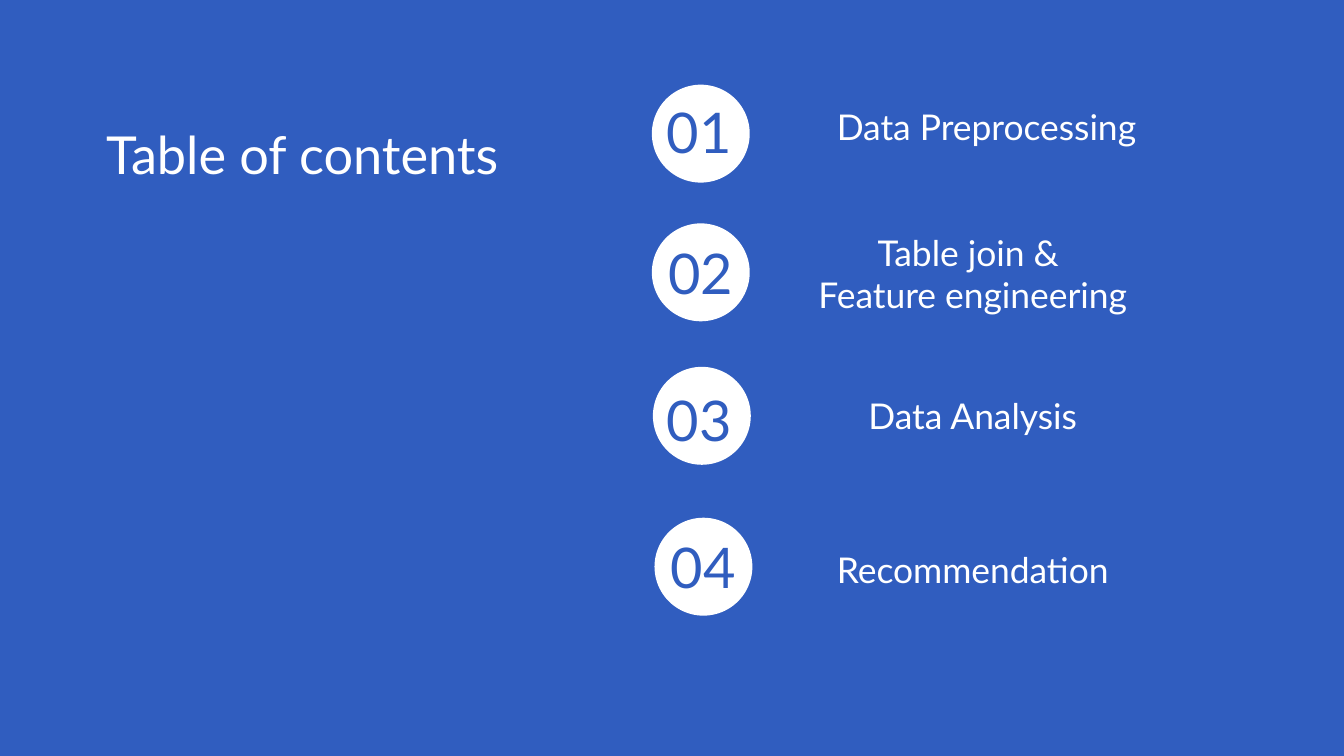
from lxml.etree import SubElement
from pptx import Presentation
from pptx.dml.color import RGBColor
from pptx.enum.shapes import MSO_SHAPE
from pptx.enum.text import MSO_ANCHOR, MSO_AUTO_SIZE, PP_ALIGN
from pptx.oxml.ns import qn
from pptx.util import Cm, Pt

BLUE = RGBColor(0x30, 0x5D, 0xBF)
WHITE = RGBColor(0xFF, 0xFF, 0xFF)

SIZE = 1.85  # circle diameter and number box side, cm
FRAME = {"word_wrap": True, "auto_size": MSO_AUTO_SIZE.NONE,
         "margin_left": Cm(0.25), "margin_right": Cm(0.25),
         "margin_top": Cm(0.25), "margin_bottom": Cm(0.25)}
PARA = {"alignment": PP_ALIGN.CENTER, "space_before": Pt(0)}
FONT = {"name": "Lato", "bold": False}

# Lines, then (left, top) in cm of circle, number and label
ROWS = [
    (["Data Preprocessing"], (12.32, 1.6), (12.29, 1.52), (15.09, 1.73)),
    (["Table join & ", "Feature engineering"],
     (12.32, 4.22), (12.32, 4.17), (14.83, 4.11)),
    (["Data Analysis"], (12.34, 6.93), (12.29, 6.96), (14.83, 7.19)),
    (["Recommendation"], (12.37, 9.78), (12.37, 9.73), (14.83, 10.11)),
]


def apply(item, values):
    for name, value in values.items():
        setattr(item, name, value)


def place(shape, left, top, width, height):
    apply(shape, {"left": Cm(left), "top": Cm(top),
                  "width": Cm(width), "height": Cm(height)})


def write(shape, lines, size, color, anchor=MSO_ANCHOR.TOP):
    frame = shape.text_frame
    frame.text = "\n".join(lines)
    apply(frame, {**FRAME, "vertical_anchor": anchor})
    for para in frame.paragraphs:
        # Drop the bullet and indent of the template
        props = para._p.get_or_add_pPr()
        props.set("marL", "0")
        props.set("indent", "0")
        SubElement(props, qn("a:buNone"))
        apply(para, PARA)
        apply(para.font, {**FONT, "size": Pt(size)})
        para.font.color.rgb = color


def add_disc(slide, spot):
    disc = slide.shapes.add_shape(
        MSO_SHAPE.OVAL, Cm(spot[0]), Cm(spot[1]), Cm(SIZE), Cm(SIZE))
    disc.shadow.inherit = False
    disc.fill.solid()
    disc.fill.fore_color.rgb = WHITE
    disc.line.fill.background()


def add_number(slide, number, spot):
    box = slide.shapes.add_textbox(
        Cm(spot[0]), Cm(spot[1]), Cm(SIZE), Cm(SIZE))
    write(box, [f"{number:02}"], 30, BLUE, MSO_ANCHOR.BOTTOM)


def main():
    deck = Presentation()
    apply(deck, {"slide_width": Cm(25.4), "slide_height": Cm(14.28)})

    # The comparison layout has a title and four body placeholders
    slide = deck.slides.add_slide(deck.slide_layouts[4])
    slide.background.fill.solid()
    slide.background.fill.fore_color.rgb = BLUE

    # Heading
    title, *labels = slide.placeholders
    place(title, -1.68, 2.06, 14.78, 1.6)
    write(title, ["Table of contents"], 28, WHITE)

    # Numbered entries
    for number, (label, row) in enumerate(zip(labels, ROWS), 1):
        lines, disc, digits, spot = row
        add_disc(slide, disc)
        add_number(slide, number, digits)
        place(label, *spot, 7.11, 1.17)
        write(label, lines, 19, WHITE)

    deck.save("out.pptx")


if __name__ == "__main__":
    main()
